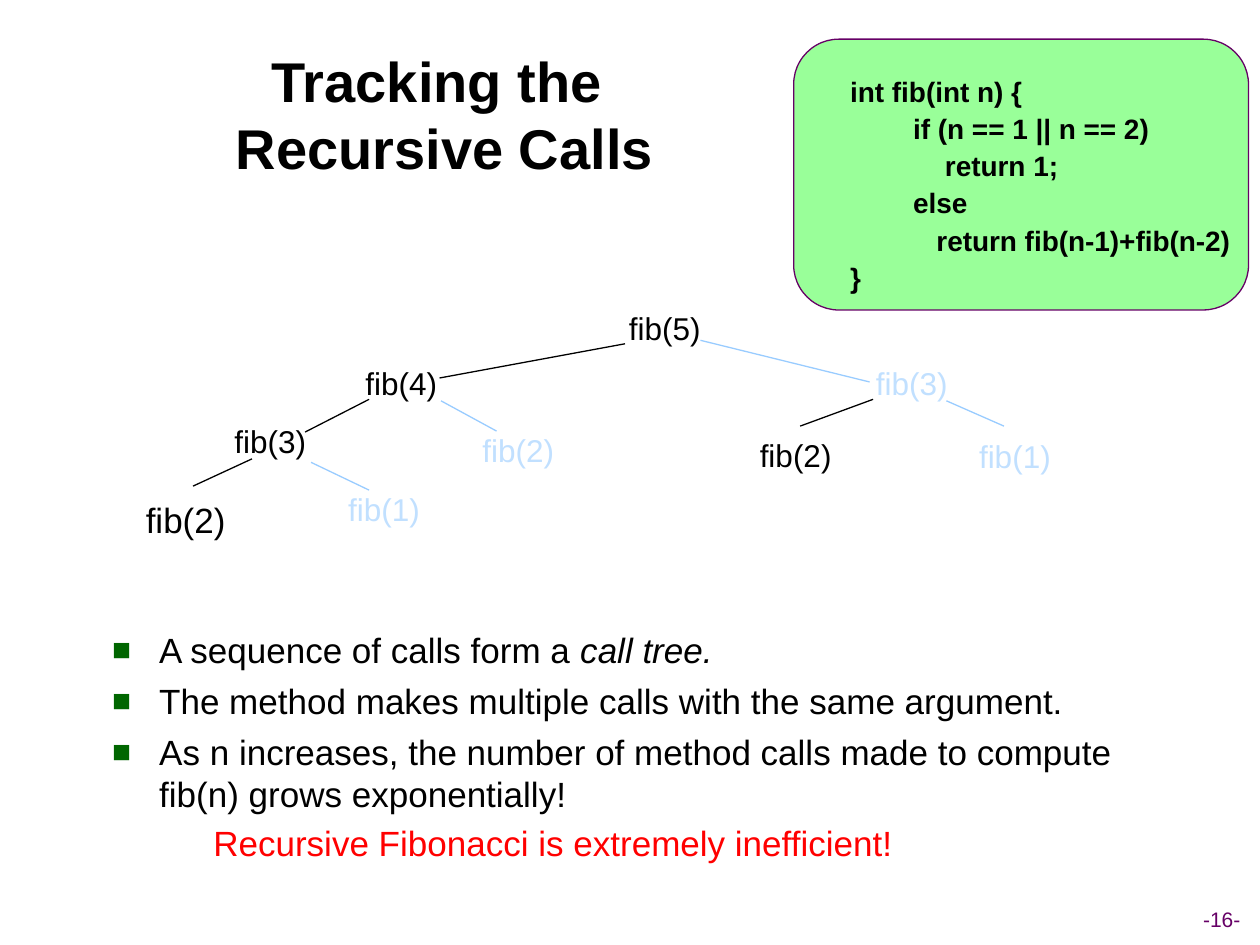
from dataclasses import dataclass

from lxml.etree import SubElement
from pptx import Presentation
from pptx.dml.color import RGBColor
from pptx.enum.shapes import MSO_CONNECTOR, MSO_SHAPE
from pptx.enum.text import MSO_ANCHOR, PP_ALIGN
from pptx.oxml.ns import qn
from pptx.util import Cm, Pt


@dataclass(frozen=True)
class Theme:
    font: str = "Arial"
    ink: str = "000000"
    repeated_call: str = "C1E0FF"
    repeated_edge: str = "99CCFF"
    warning: str = "FF0000"
    bullet: str = "006600"
    accent: str = "660066"
    code_fill: str = "99FF99"
    title_size: int = 32
    body_size: int = 20
    call_size: int = 18
    code_size: int = 16
    number_size: int = 12
    line_width: float = 0.75


THEME = Theme()

CODE = [  # indent in cm, code
    (1.27, "int fib(int n) {"),
    (2.54, "if (n == 1 || n == 2)"),
    (3.18, "return 1;"),
    (2.54, "else"),
    (2.54, "   return fib(n-1)+fib(n-2)"),
    (1.27, "}"),
]

CALLS = [  # call, left, top, drawn pale, edge from the caller
    ("fib(5)", 12.42, 6.1, False, None),
    ("fib(4)", 7.11, 7.21, False, (12.6, 6.93, 8.86, 7.62)),
    ("fib(3)", 17.4, 7.21, True, (14.12, 6.86, 17.53, 7.7)),
    ("fib(3)", 4.47, 8.38, False, (7.44, 8.05, 6.15, 8.71)),
    ("fib(2)", 9.47, 8.56, True, (8.89, 8.08, 10.01, 8.69)),
    ("fib(2)", 15.06, 8.66, False, (17.6, 8.05, 16.13, 8.59)),
    ("fib(1)", 19.48, 8.69, True, (19.08, 8.08, 20.24, 8.59)),
    ("fib(1)", 6.76, 9.75, True, (6.27, 9.32, 7.44, 9.88)),
]
DEEPEST_CALL = ("fib(2)", 2.69, 9.91, False, (5.08, 9.25, 3.89, 9.8))

FINDINGS = [  # plain text, italic ending
    ("A sequence of calls form a ", "call tree."),
    ("The method makes multiple calls with the same argument.", ""),
    ("As n increases, the number of method calls made to compute "
     "fib(n) grows exponentially!", ""),
]


def write(paragraph, text, *, size, color=THEME.ink, bold=False, italic=False):
    """Append text to the paragraph; a line feed becomes a line break."""
    for index, line in enumerate(text.split("\n")):
        if index:
            paragraph.add_line_break()
        run = paragraph.add_run()
        run.text = line
        run.font.name = THEME.font
        run.font.size = Pt(size)
        run.font.bold = bold
        run.font.italic = italic
        run.font.color.rgb = RGBColor.from_string(color)


def indent(paragraph, left, first=0):
    properties = paragraph._p.get_or_add_pPr()
    properties.set("marL", str(Cm(left)))
    properties.set("indent", str(Cm(first)))
    return properties


def next_paragraph(frame, index, gap):
    """Return the paragraph at index, with a gap above all but the first."""
    if index == 0:
        return frame.paragraphs[0]
    paragraph = frame.add_paragraph()
    paragraph.space_before = Pt(gap)
    return paragraph


class SlideBuilder:
    def __init__(self, slide, theme):
        self.slide = slide
        self.theme = theme

    def frame(self, left, top, width, height, wrap=True):
        box = self.slide.shapes.add_textbox(Cm(left), Cm(top), Cm(width), Cm(height))
        box.text_frame.word_wrap = wrap
        return box.text_frame

    def label(self, text, left, top, width, height, **style):
        frame = self.frame(left, top, width, height, wrap=False)
        frame.vertical_anchor = MSO_ANCHOR.MIDDLE
        frame.paragraphs[0].alignment = PP_ALIGN.CENTER
        write(frame.paragraphs[0], text, **style)

    def edge(self, start_x, start_y, end_x, end_y, color):
        line = self.slide.shapes.add_connector(
            MSO_CONNECTOR.STRAIGHT, Cm(start_x), Cm(start_y), Cm(end_x), Cm(end_y))
        line.line.color.rgb = RGBColor.from_string(color)
        line.line.width = Pt(self.theme.line_width)
        SubElement(line._element.spPr, qn("a:effectLst"))

    def call(self, text, left, top, pale, edge, size, width=1.96, height=1.02):
        theme = self.theme
        if edge:
            self.edge(*edge, theme.repeated_edge if pale else theme.ink)
        self.label(text, left, top, width, height, size=size,
                   color=theme.repeated_call if pale else theme.ink)

    def bullets(self, items, left, top, width, height):
        frame = self.frame(left, top, width, height)
        for index, (plain, emphasis) in enumerate(items):
            paragraph = next_paragraph(frame, index, gap=5)
            properties = indent(paragraph, 0.95, -0.95)
            color = SubElement(properties, qn("a:buClr"))
            SubElement(color, qn("a:srgbClr"), val=self.theme.bullet)
            SubElement(properties, qn("a:buSzPct"), val="90000")
            SubElement(properties, qn("a:buFont"), typeface=self.theme.font)
            SubElement(properties, qn("a:buChar"), char="■")
            write(paragraph, plain, size=self.theme.body_size)
            if emphasis:
                write(paragraph, emphasis, size=self.theme.body_size, italic=True)

    def panel(self, left, top, width, height):
        panel = self.slide.shapes.add_shape(
            MSO_SHAPE.ROUNDED_RECTANGLE, Cm(left), Cm(top), Cm(width), Cm(height))
        panel.shadow.inherit = False
        panel.fill.solid()
        panel.fill.fore_color.rgb = RGBColor.from_string(self.theme.code_fill)
        panel.line.color.rgb = RGBColor.from_string(self.theme.accent)
        panel.line.width = Pt(self.theme.line_width)

    def code(self, lines, left, top, width, height):
        frame = self.frame(left, top, width, height)
        for index, (margin, text) in enumerate(lines):
            paragraph = next_paragraph(frame, index, gap=4)
            paragraph.line_spacing = 0.9
            indent(paragraph, margin)
            write(paragraph, text, size=self.theme.code_size, bold=True)


def main():
    deck = Presentation()
    deck.slide_width, deck.slide_height = Cm(25.4), Cm(19.05)
    builder = SlideBuilder(deck.slides.add_slide(deck.slide_layouts[6]), THEME)

    builder.label("-16-", 23.88, 18.14, 1.5, 0.76,
                  size=THEME.number_size, color=THEME.accent)
    builder.label("Tracking the \nRecursive Calls", 1.93, 1.09, 14.07, 2.41,
                  size=THEME.title_size, bold=True)
    builder.bullets(FINDINGS, 2.01, 12.55, 21.29, 4.2)
    for call in CALLS:
        builder.call(*call, size=THEME.call_size)
    builder.call(*DEEPEST_CALL, size=THEME.body_size, width=2.11, height=1.12)
    builder.label("Recursive Fibonacci is extremely inefficient!",
                  4.04, 16.43, 14.22, 1.12, size=THEME.body_size, color=THEME.warning)
    builder.panel(16, 0.79, 9.17, 5.46)
    builder.code(CODE, 15.62, 1.45, 9.75, 4.8)

    deck.save("out.pptx")


if __name__ == "__main__":
    main()
